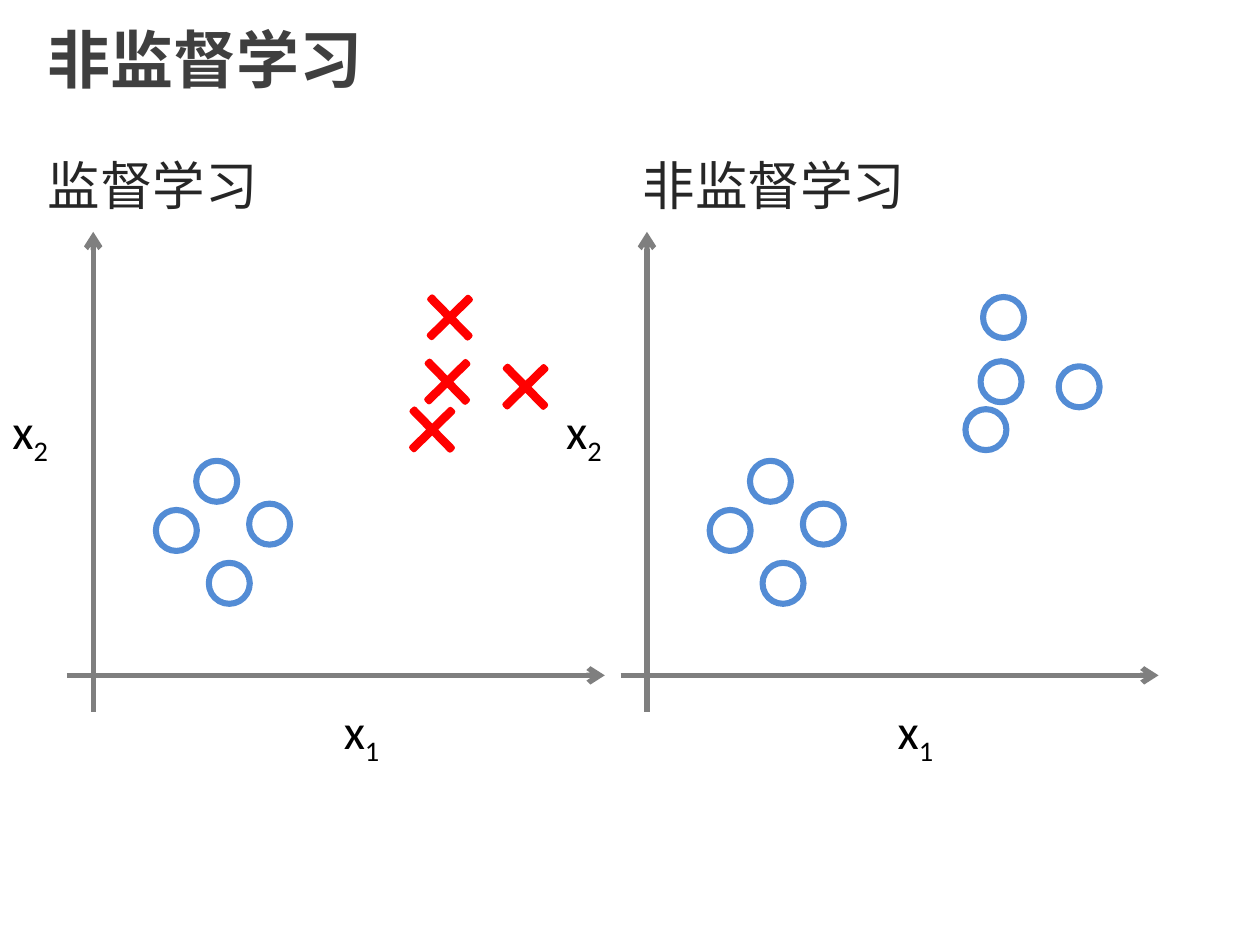
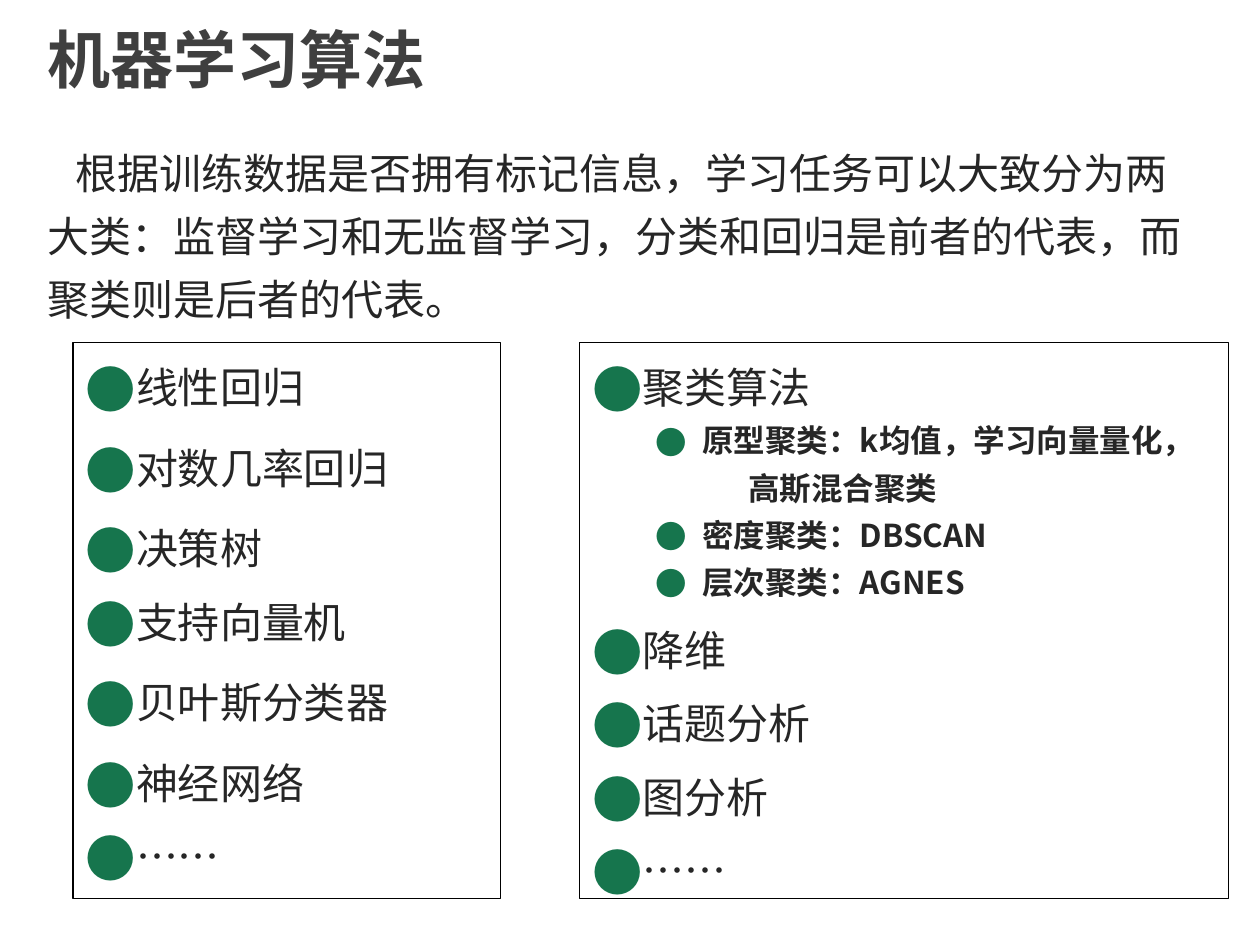
from dataclasses import dataclass

from lxml import etree
from pptx import Presentation, util as u
from pptx.dml.color import RGBColor
from pptx.enum import shapes, text
from pptx.oxml.ns import qn

COLUMNS, ROWS = 100, 75
SLIDE_WIDTH, SLIDE_HEIGHT = u.Inches(10), u.Inches(7.5)
TWO_CONTENT_LAYOUT = 3


@dataclass(frozen=True)
class Theme:
    title: str = "3F3F3F"
    body: str = "262626"
    label: str = "000000"
    bullet: str = "16754D"
    axis: str = "7F7F7F"
    circle: str = "538CD5"
    cross: str = "FF0000"
    heading_font: str = "DejaVu Sans"
    body_font: str = "Noto Sans CJK SC"
    label_font: str = "Calibri"
    title_size: int = 36
    heading_size: int = 30
    label_size: int = 28
    body_size: int = 24
    detail_size: int = 18


THEME = Theme()


@dataclass(frozen=True)
class Box:
    """A place on the grid, in columns and rows."""
    left: float
    top: float
    width: float
    height: float

    def emu(self) -> tuple[int, int, int, int]:
        return (x(self.left), y(self.top), x(self.width), y(self.height))


@dataclass(frozen=True)
class Style:
    size: int
    color: str = THEME.body
    font: str = THEME.body_font
    bold: bool = False
    line: float | u.Length = 0.9
    before: int = 10
    margin: float = 0
    indent: float = 0
    bullet_percent: int = 0
    level: int = 0


@dataclass(frozen=True)
class Marker:
    kind: shapes.MSO_SHAPE
    size: float
    color: str
    weight: float
    rotation: float = 0


@dataclass(frozen=True)
class Plot:
    heading: str
    heading_box: Box
    left: float
    upper_marker: Marker


def x(columns: float) -> int:
    return round(SLIDE_WIDTH * columns / COLUMNS)


def y(rows: float) -> int:
    return round(SLIDE_HEIGHT * rows / ROWS)


def bulleted(line: int, size: int = THEME.body_size) -> Style:
    return Style(size, line=u.Pt(line), margin=3.75, indent=-3.75, bullet_percent=120)


TITLE = Style(THEME.title_size, THEME.title, THEME.heading_font, bold=True, before=0)
HEADING = Style(THEME.heading_size, font=THEME.heading_font)
LABEL = Style(THEME.label_size, THEME.label, THEME.label_font, line=1.0, before=0)
INTRODUCTION = Style(THEME.body_size, line=u.Pt(36), indent=2.2)
WIDE, TIGHT = bulleted(36), bulleted(32)
DETAIL = Style(THEME.detail_size, bold=True, line=u.Pt(22), before=5,
               margin=8.75, indent=-3.75, bullet_percent=100, level=1)
DETAIL_REST = Style(THEME.detail_size, bold=True, line=u.Pt(22), before=5,
                    margin=12.4, level=1)

TITLE_BOX = Box(2.8, 0.8, 86.2, 8.5)
INTRODUCTION_BOX = Box(2.8, 10.2, 92.3, 16.1)

CIRCLE = Marker(shapes.MSO_SHAPE.OVAL, 3.25, THEME.circle, 3.5)
CROSS = Marker(shapes.MSO_SHAPE.CROSS, 4.3, THEME.cross, 3, rotation=45.6)
LOWER_CLUSTER = [(14, 42.1), (21.4, 41.6), (18.2, 46.3), (17.2, 38.2)]
UPPER_CLUSTER = [(34.3, 34.1), (35.7, 25.2), (41.7, 30.7), (35.5, 30.3)]
AXES = [((7.4, 56.5), (7.4, 18.4)), ((5.3, 53.6), (48, 53.6))]
AXIS_LABELS = [("1", 26.3, 55.1), ("2", 0, 31.3)]
PLOTS = [
    Plot("监督学习", Box(2.8, 12.2, 43.8, 4.9), 0, CROSS),
    Plot("非监督学习", Box(50, 12.2, 47.1, 4.9), 43.95, CIRCLE),
]

SUPERVISED = [
    ("线性回归", WIDE), ("对数几率回归", WIDE), ("决策树", WIDE), ("支持向量机", TIGHT),
    ("贝叶斯分类器", WIDE), ("神经网络", WIDE), ("……", TIGHT),
]
UNSUPERVISED = [
    ("聚类算法", WIDE),
    ("原型聚类：k均值，学习向量量化，", DETAIL),
    ("高斯混合聚类", DETAIL_REST),
    ("密度聚类：DBSCAN", DETAIL),
    ("层次聚类：AGNES", DETAIL),
    ("降维", TIGHT), ("话题分析", TIGHT), ("图分析", TIGHT), ("……", TIGHT),
]
LISTS = [(Box(5.8, 27.2, 33.9, 44.1), SUPERVISED), (Box(46, 27.2, 51.5, 44.1), UNSUPERVISED)]


def add_bullet(properties, percent: int) -> None:
    if not percent:
        etree.SubElement(properties, qn("a:buNone"))
        return
    color = etree.SubElement(properties, qn("a:buClr"))
    etree.SubElement(color, qn("a:srgbClr"), val=THEME.bullet)
    etree.SubElement(properties, qn("a:buSzPct"), val=str(percent * 1000))
    etree.SubElement(properties, qn("a:buFont"), typeface=THEME.body_font)
    etree.SubElement(properties, qn("a:buChar"), char="●")


def format_paragraph(paragraph, style: Style) -> None:
    paragraph.alignment = text.PP_ALIGN.LEFT
    paragraph.level = style.level
    paragraph.line_spacing = style.line
    paragraph.space_before = u.Pt(style.before)
    properties = paragraph._p.get_or_add_pPr()
    properties.set("marL", str(x(style.margin)))
    properties.set("indent", str(x(style.indent)))
    add_bullet(properties, style.bullet_percent)
    font = paragraph.font
    font.size, font.bold, font.name = u.Pt(style.size), style.bold, style.font
    font.color.rgb = RGBColor.from_string(style.color)
    etree.SubElement(properties.find(qn("a:defRPr")), qn("a:ea"), typeface=style.font)


def write(shape, box: Box, items: list[tuple[str, Style]],
          anchor: text.MSO_ANCHOR = text.MSO_ANCHOR.TOP) -> None:
    """Place a text shape and give it one paragraph per item."""
    shape.left, shape.top, shape.width, shape.height = box.emu()
    frame = shape.text_frame
    frame.word_wrap = True
    frame.auto_size = text.MSO_AUTO_SIZE.NONE
    frame.vertical_anchor = anchor
    for index, (words, style) in enumerate(items):
        paragraph = frame.add_paragraph() if index else frame.paragraphs[0]
        paragraph.text = words
        format_paragraph(paragraph, style)


def add_titled_slide(presentation, title: str):
    slide = presentation.slides.add_slide(presentation.slide_layouts[TWO_CONTENT_LAYOUT])
    write(slide.shapes.title, TITLE_BOX, [(title, TITLE)], text.MSO_ANCHOR.MIDDLE)
    return slide


def add_marker(group, marker: Marker, center_x: float, center_y: float) -> None:
    half = marker.size / 2
    box = Box(center_x - half, center_y - half, marker.size, marker.size)
    shape = group.shapes.add_shape(marker.kind, *box.emu())
    shape.shadow.inherit = False
    shape.rotation = marker.rotation
    shape.line.color.rgb = RGBColor.from_string(marker.color)
    shape.line.width = u.Pt(marker.weight)
    if marker.kind == shapes.MSO_SHAPE.CROSS:
        shape.adjustments[0] = 0.47
        shape.fill.solid()
        shape.fill.fore_color.rgb = RGBColor.from_string(marker.color)
    else:
        shape.fill.background()


def add_axis(group, start: tuple[float, float], end: tuple[float, float], left: float) -> None:
    axis = group.shapes.add_connector(
        shapes.MSO_CONNECTOR.STRAIGHT,
        x(left + start[0]), y(start[1]), x(left + end[0]), y(end[1]))
    axis.line.color.rgb = RGBColor.from_string(THEME.axis)
    axis.line.width = u.Pt(3)
    etree.SubElement(axis.line._get_or_add_ln(), qn("a:tailEnd"), type="arrow")
    etree.SubElement(axis._element.spPr, qn("a:effectLst"))


def add_axis_label(group, subscript: str, left: float, top: float) -> None:
    label = group.shapes.add_textbox(*Box(left, top, 5.1, 5.7).emu())
    label.text_frame.word_wrap = False
    label.text_frame.auto_size = text.MSO_AUTO_SIZE.SHAPE_TO_FIT_TEXT
    paragraph = label.text_frame.paragraphs[0]
    paragraph.add_run().text = "x"
    index = paragraph.add_run()
    index.text = subscript
    index._r.get_or_add_rPr().set("baseline", "-25000")
    format_paragraph(paragraph, LABEL)


def add_plot(slide, plot: Plot) -> None:
    group = slide.shapes.add_group_shape()
    for marker, cluster in ((CIRCLE, LOWER_CLUSTER), (plot.upper_marker, UPPER_CLUSTER)):
        for center_x, center_y in cluster:
            add_marker(group, marker, plot.left + center_x, center_y)
    for subscript, left, top in AXIS_LABELS:
        add_axis_label(group, subscript, plot.left + left, top)
    for start, end in AXES:
        add_axis(group, start, end, plot.left)


def build_comparison(presentation) -> None:
    slide = add_titled_slide(presentation, "非监督学习")
    for index, plot in enumerate(PLOTS, start=1):
        write(slide.placeholders[index], plot.heading_box, [(plot.heading, HEADING)])
        add_plot(slide, plot)


def build_algorithms(presentation) -> None:
    slide = add_titled_slide(presentation, "机器学习算法")
    introduction = slide.shapes.add_textbox(*INTRODUCTION_BOX.emu())
    write(introduction, INTRODUCTION_BOX, [(
        "根据训练数据是否拥有标记信息，学习任务可以大致分为两大类："
        "监督学习和无监督学习，分类和回归是前者的代表，而聚类则是后者的代表。",
        INTRODUCTION)])
    for index, (box, items) in enumerate(LISTS, start=1):
        placeholder = slide.placeholders[index]
        write(placeholder, box, items)
        placeholder.line.color.rgb = RGBColor.from_string(THEME.label)
        placeholder.line.width = u.Pt(0.75)


def main() -> None:
    presentation = Presentation()
    presentation.slide_width, presentation.slide_height = SLIDE_WIDTH, SLIDE_HEIGHT
    build_comparison(presentation)
    build_algorithms(presentation)
    presentation.save("out.pptx")


if __name__ == "__main__":
    main()
